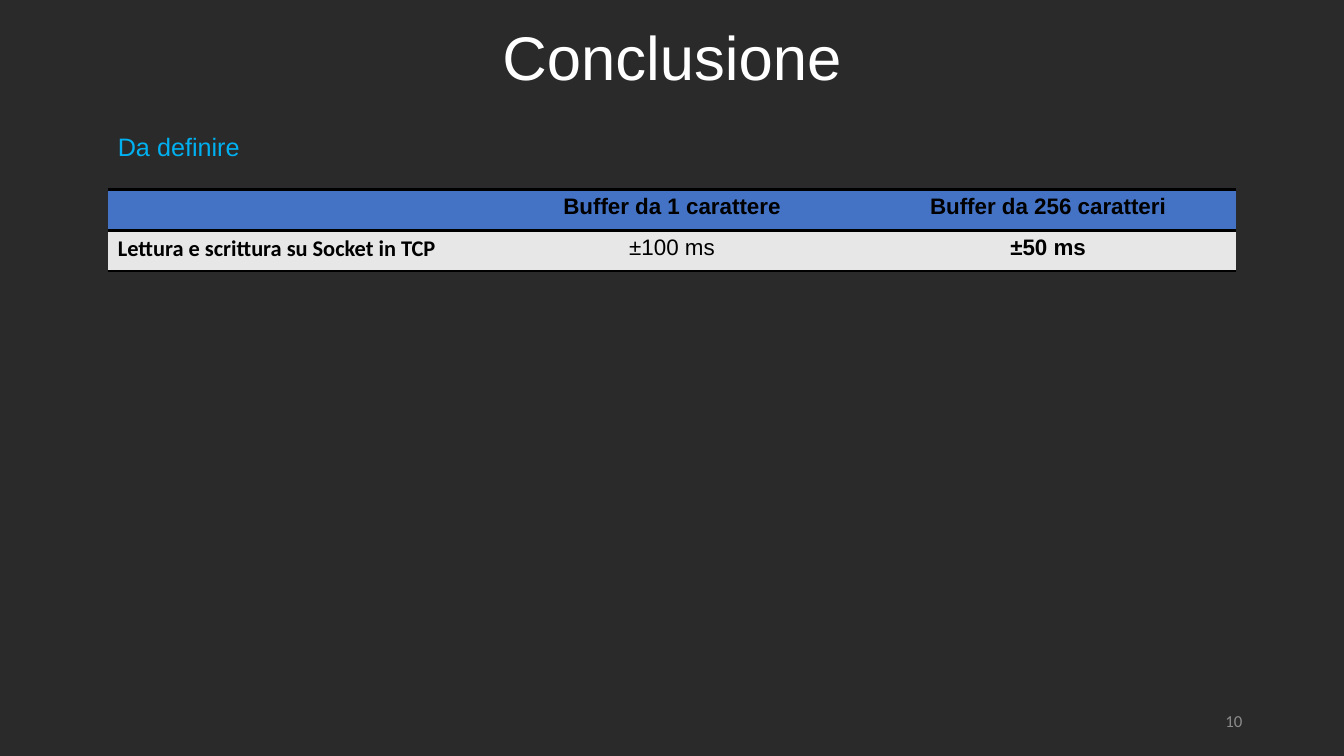
from lxml import etree
from pptx import Presentation
from pptx.dml.color import RGBColor
from pptx.enum.text import MSO_ANCHOR, MSO_AUTO_SIZE, PP_ALIGN
from pptx.oxml.ns import qn
from pptx.util import Inches, Pt

LEFT, CENTER, RIGHT, JUSTIFY = PP_ALIGN.LEFT, PP_ALIGN.CENTER, PP_ALIGN.RIGHT, PP_ALIGN.JUSTIFY
TOP, MIDDLE = MSO_ANCHOR.TOP, MSO_ANCHOR.MIDDLE
NO_FIT = MSO_AUTO_SIZE.NONE

DARK = RGBColor(0x2A, 0x2A, 0x2A)
WHITE = RGBColor(0xFF, 0xFF, 0xFF)
BLACK = RGBColor(0, 0, 0)
GRAY = RGBColor(0x8C, 0x8C, 0x8C)
CYAN = RGBColor(0x00, 0xB0, 0xF0)
BLUE = RGBColor(0x44, 0x72, 0xC4)
PALE = RGBColor(0xE7, 0xE7, 0xE7)
HEADING_FONT, LABEL_FONT = "Arial", "Calibri"

CONTENT_LEFT, CONTENT_WIDTH = 1.07, 11.19
RULE_WIDTH = Pt(2)


class SlideBuilder:
    """Holds the current slide and its shared style."""

    def __init__(self, page):
        """Take the slide and paint its background."""
        self.page = page
        page.background.fill.solid()
        page.background.fill.fore_color.rgb = DARK

    def fill_text(self, frame, text, size, color, font=HEADING_FONT, bold=False,
                  align=LEFT, spacing=None):
        """Put one formatted paragraph in a text frame."""
        frame.text = text
        para = frame.paragraphs[0]
        para.alignment = align
        if spacing:
            para.line_spacing = spacing
        for span in para.runs:
            span.font.size = Pt(size)
            span.font.name = font
            span.font.bold = bold
            span.font.color.rgb = color

    def title(self, text, left, top, width, height):
        """Move and format the title placeholder."""
        box = self.page.shapes.title
        box.left, box.top = Inches(left), Inches(top)
        box.width, box.height = Inches(width), Inches(height)
        frame = box.text_frame
        frame.auto_size = NO_FIT
        frame.vertical_anchor = MIDDLE
        self.fill_text(frame, text, 44, WHITE, align=CENTER, spacing=0.9)

    def text(self, text, left, top, width, height, anchor=TOP, **style):
        """Add a wrapping text box."""
        box = self.page.shapes.add_textbox(
            Inches(left), Inches(top), Inches(width), Inches(height))
        frame = box.text_frame
        frame.word_wrap = True
        frame.vertical_anchor = anchor
        self.fill_text(frame, text, **style)

    def border(self, cell):
        """Rule a cell above and below, leaving its sides open."""
        properties = cell._tc.get_or_add_tcPr()
        for position, side in enumerate(("lnL", "lnR", "lnT", "lnB")):
            line = etree.Element(qn("a:" + side))
            if side in ("lnT", "lnB"):
                line.set("w", str(RULE_WIDTH))
                fill = etree.SubElement(line, qn("a:solidFill"))
                etree.SubElement(fill, qn("a:srgbClr")).set("val", str(BLACK))
            else:
                etree.SubElement(line, qn("a:noFill"))
            properties.insert(position, line)

    def table(self, rows, left, top, width, height):
        """Add a table whose rows hold (text, font, bold, alignment) cells."""
        frame = self.page.shapes.add_table(
            len(rows), len(rows[0]), Inches(left), Inches(top),
            Inches(width), Inches(height))
        for row_index, row in enumerate(rows):
            for column_index, (text, font, bold, align) in enumerate(row):
                cell = frame.table.cell(row_index, column_index)
                cell.fill.solid()
                cell.fill.fore_color.rgb = PALE if row_index else BLUE
                self.fill_text(cell.text_frame, text, 16, BLACK, font, bold, align)
                self.border(cell)


deck = Presentation()
deck.slide_width, deck.slide_height = Inches(13.33), Inches(7.5)
slide = SlideBuilder(deck.slides.add_slide(deck.slide_layouts[5]))

slide.title("Conclusione", 0.18, 0.1, 12.97, 1)
slide.text("10", 9.42, 6.95, 3, 0.4, anchor=MIDDLE,
           size=12, color=GRAY, font=LABEL_FONT, align=RIGHT)
slide.text("Da definire", CONTENT_LEFT, 1.1, CONTENT_WIDTH, 0.5,
           size=18, color=CYAN, align=JUSTIFY, spacing=1.5)
slide.table([
    [("", HEADING_FONT, True, LEFT),
     ("Buffer da 1 carattere", HEADING_FONT, True, CENTER),
     ("Buffer da 256 caratteri", HEADING_FONT, True, CENTER)],
    [("Lettura e scrittura su Socket in TCP", LABEL_FONT, True, LEFT),
     ("±100 ms", HEADING_FONT, False, CENTER),
     ("±50 ms", HEADING_FONT, True, CENTER)],
], CONTENT_LEFT, 1.88, CONTENT_WIDTH, 0.81)

deck.save("out.pptx")
